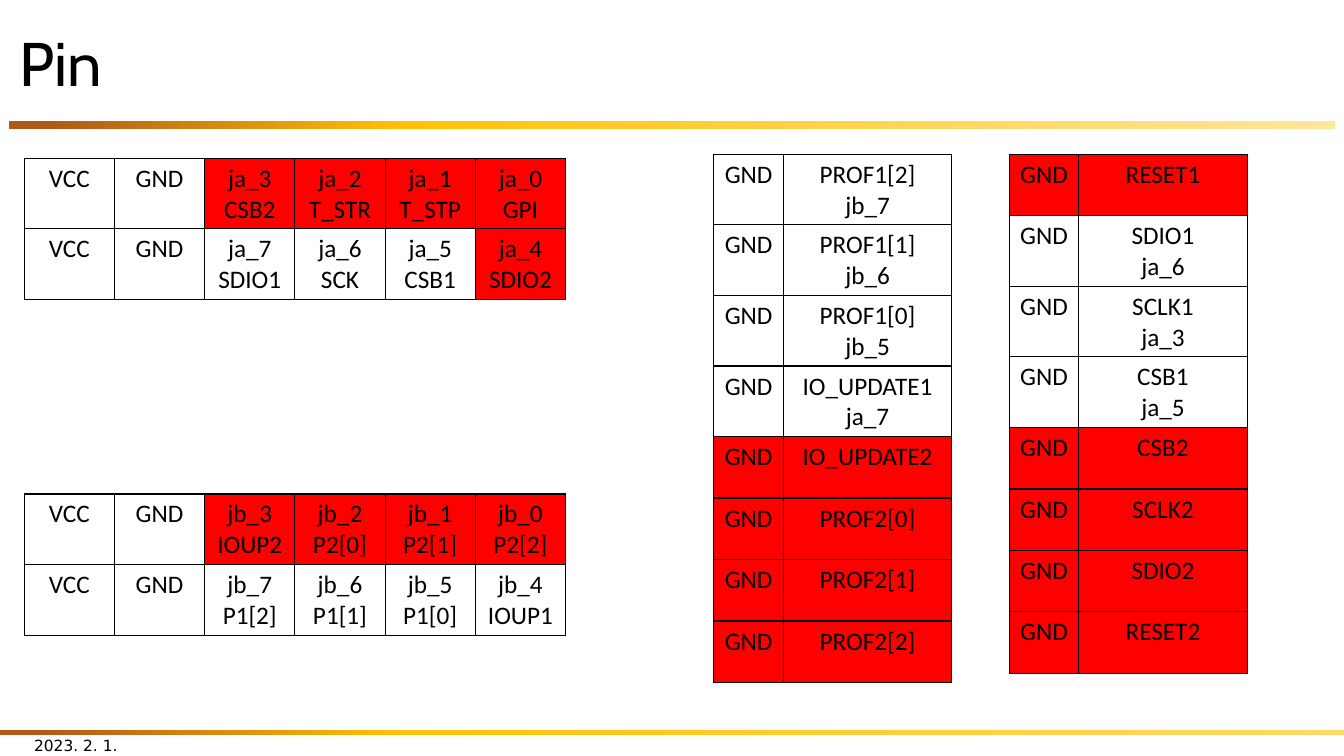
from copy import deepcopy
from dataclasses import dataclass

from lxml.etree import SubElement
from pptx import Presentation
from pptx.dml.color import RGBColor
from pptx.enum.shapes import MSO_SHAPE
from pptx.enum.text import MSO_ANCHOR, PP_ALIGN
from pptx.oxml.ns import qn
from pptx.util import Inches, Pt


@dataclass(frozen=True)
class Theme:
    ink: str = "000000"
    marked: str = "FF0000"
    bar_start: str = "B05A16"
    bar_middle: str = "FFC208"
    header_end: str = "FFE699"
    footer_end: str = "FFD966"
    title_font: str = "Cabin"
    table_font: str = "Calibri"
    date_font: str = "DejaVu Sans"
    title_size: int = 44
    table_size: int = 18
    date_size: int = 11
    border: int = 1


THEME = Theme()


def add_text(paragraph, text, font, size):
    run = paragraph.add_run()
    run.text = text
    run.font.name = font
    run.font.size = Pt(size)
    run.font.color.rgb = RGBColor.from_string(THEME.ink)


def add_pin_table(left, top, widths, row_height, rows):
    """Draw a bordered pin table; a cell whose text starts with * is marked."""
    frame = slide.shapes.add_table(
        len(rows), len(widths), Inches(left), Inches(top),
        Inches(sum(widths)), Inches(row_height * len(rows)))
    table = frame.table
    table.first_row = False
    table.horz_banding = False
    for column, width in zip(table.columns, widths):
        column.width = Inches(width)
    for row, labels in zip(table.rows, rows):
        row.height = Inches(row_height)
        for cell, label in zip(row.cells, labels):
            properties = cell._tc.get_or_add_tcPr()
            for side in ("a:lnL", "a:lnR", "a:lnT", "a:lnB"):
                line = SubElement(properties, qn(side), w=str(Pt(THEME.border)))
                SubElement(SubElement(line, qn("a:solidFill")), qn("a:srgbClr"), val=THEME.ink)
            if label.startswith("*"):
                cell.fill.solid()
                cell.fill.fore_color.rgb = RGBColor.from_string(THEME.marked)
            else:
                cell.fill.background()
            for index, text in enumerate(label.lstrip("*").split("\n")):
                paragraph = cell.text_frame.paragraphs[0] if index == 0 else cell.text_frame.add_paragraph()
                paragraph.alignment = PP_ALIGN.CENTER
                add_text(paragraph, text, THEME.table_font, THEME.table_size)


presentation = Presentation()
presentation.slide_width = Inches(13.33)
presentation.slide_height = Inches(7.5)
slide = presentation.slides.add_slide(presentation.slide_layouts[5])

# Gradient bars under the title and above the date
for left, top, width, height, end_color in [
    (0.09, 1.2, 13.15, 0.08, THEME.header_end),
    (0, 7.24, 13.33, 0.05, THEME.footer_end),
]:
    bar = slide.shapes.add_shape(
        MSO_SHAPE.RECTANGLE, Inches(left), Inches(top), Inches(width), Inches(height))
    bar.shadow.inherit = False
    bar.line.fill.background()
    bar.fill.gradient()
    bar.fill.gradient_angle = 0
    stop_list = bar._element.spPr.find(qn("a:gradFill")).find(qn("a:gsLst"))
    stop_list.append(deepcopy(stop_list[-1]))
    stops = [(0.03, THEME.bar_start), (0.3, THEME.bar_middle), (1, end_color)]
    for stop, (position, color) in zip(bar.fill.gradient_stops, stops):
        stop.position = position
        stop.color.rgb = RGBColor.from_string(color)

# Title and date
title = slide.shapes.title
title.left, title.top = Inches(0.09), Inches(0.17)
title.width, title.height = Inches(13.15), Inches(0.98)
title.text_frame.vertical_anchor = MSO_ANCHOR.MIDDLE
heading = title.text_frame.paragraphs[0]
heading.alignment = PP_ALIGN.LEFT
heading.line_spacing = 0.9
add_text(heading, "Pin", THEME.title_font, THEME.title_size)

date = slide.shapes.add_textbox(Inches(0.24), Inches(7.19), Inches(3), Inches(0.4))
date.text_frame.word_wrap = True
date.text_frame.vertical_anchor = MSO_ANCHOR.MIDDLE
add_text(date.text_frame.paragraphs[0], "2023. 2. 1.", THEME.date_font, THEME.date_size)

# Board ports: two rows of six pins
ports = [
    (1.57, [
        ["VCC", "GND", "*ja_3\nCSB2", "*ja_2\nT_STR", "*ja_1\nT_STP", "*ja_0\nGPI"],
        ["VCC", "GND", "ja_7\nSDIO1", "ja_6\nSCK", "ja_5\nCSB1", "*ja_4\nSDIO2"],
    ]),
    (4.9, [
        ["VCC", "GND", "*jb_3\nIOUP2", "*jb_2\nP2[0]", "*jb_1\nP2[1]", "*jb_0\nP2[2]"],
        ["VCC", "GND", "jb_7\nP1[2]", "jb_6\nP1[1]", "jb_5\nP1[0]", "jb_4\nIOUP1"],
    ]),
]
for top, pins in ports:
    add_pin_table(0.24, top, [0.895] * 6, 0.65, pins)

# Signal headers: each signal is paired with a ground pin marked alike
headers = [
    (7.08, ["PROF1[2]\njb_7", "PROF1[1]\njb_6", "PROF1[0]\njb_5", "IO_UPDATE1\nja_7",
            "*IO_UPDATE2", "*PROF2[0]", "*PROF2[1]", "*PROF2[2]"]),
    (10.01, ["*RESET1", "SDIO1\nja_6", "SCLK1\nja_3", "CSB1\nja_5",
             "*CSB2", "*SCLK2", "*SDIO2", "*RESET2"]),
]
for left, signals in headers:
    pairs = [["*GND" if signal.startswith("*") else "GND", signal] for signal in signals]
    add_pin_table(left, 1.53, [0.69, 1.67], 0.61, pairs)

presentation.save("out.pptx")
